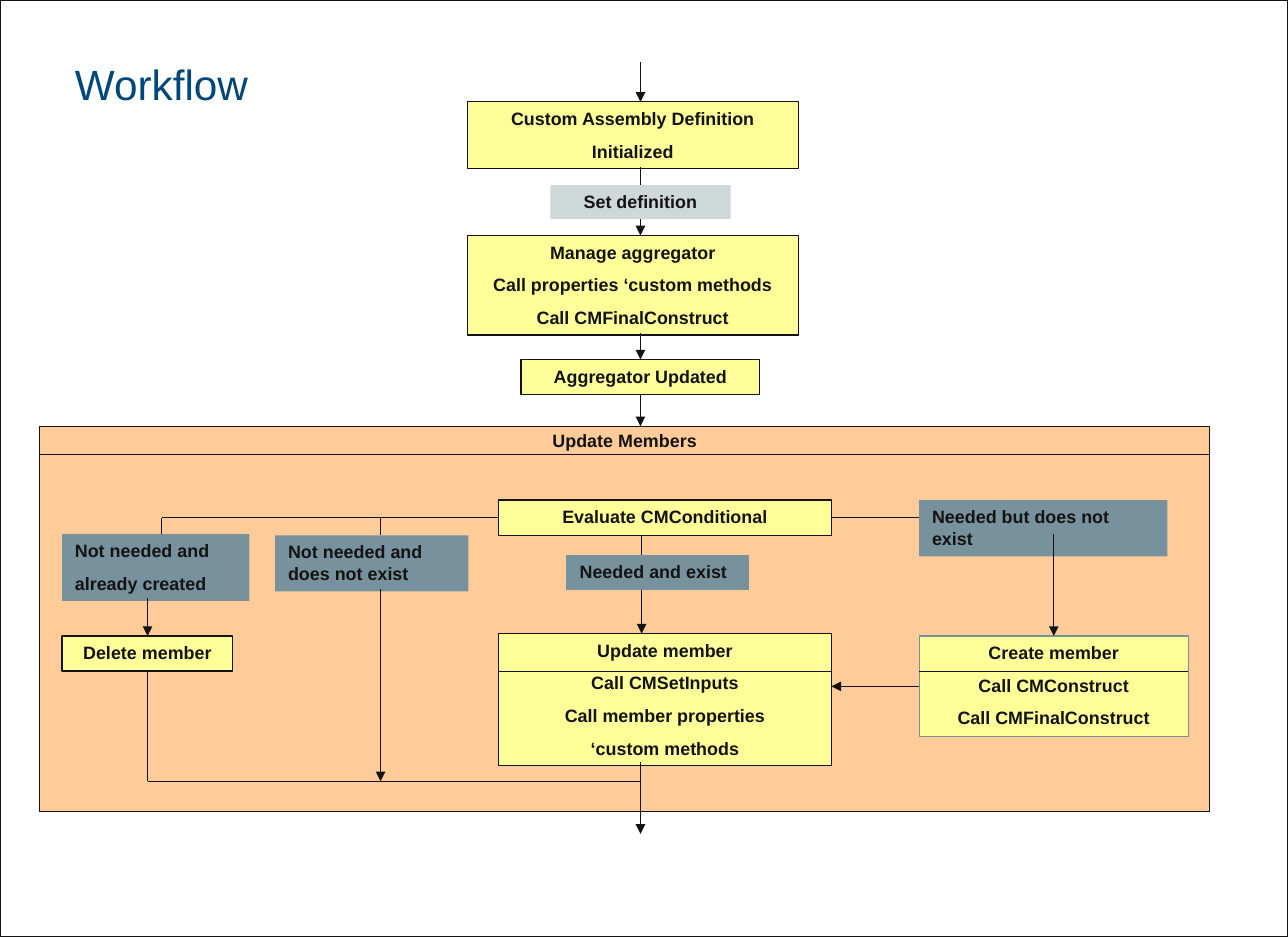
from pptx import Presentation
from pptx.dml.color import RGBColor
from pptx.enum.shapes import MSO_CONNECTOR, MSO_SHAPE
from pptx.enum.text import MSO_ANCHOR, PP_ALIGN
from pptx.oxml.ns import qn
from pptx.util import Inches, Pt
from lxml.etree import SubElement

INK = RGBColor(0x13, 0x13, 0x13)
NAVY = RGBColor(0x00, 0x47, 0x7B)
WHITE = RGBColor(0xFF, 0xFF, 0xFF)
LEMON = RGBColor(0xFF, 0xFF, 0x99)
PEACH = RGBColor(0xFF, 0xCC, 0x99)
MIST = RGBColor(0xCE, 0xD8, 0xD9)
SLATE = RGBColor(0x77, 0x91, 0x9D)

# Grid: 11 columns by 8 rows, one inch each
COLS, ROWS = 11, 8
AXIS = 5.47                    # main flow, downwards
SKIP = 3.25                    # branch where nothing is done
EXIT = 6.67                    # row where the branches merge
FORK = 4.42                    # row where the branches part
TOP, LEFT, BOTTOM, RIGHT = range(4)

# Boxes: name -> (left, top, width, height), fill, line, lines of text
BOXES = {
    "init": ((3.99, 0.87, 2.83, 0.57), LEMON, INK,
             ["Custom Assembly Definition", "Initialized"]),
    "manage": ((3.99, 2.01, 2.83, 0.85), LEMON, INK,
               ["Manage aggregator", "Call properties ‘custom methods",
                "Call CMFinalConstruct"]),
    "done": ((4.45, 3.07, 2.04, 0.3), LEMON, INK, ["Aggregator Updated"]),
    "set": ((4.7, 1.58, 1.54, 0.29), MIST, None, ["Set definition"]),
    "panel": ((0.34, 3.76, 9.99, 3.17), PEACH, INK, []),
    "header": ((0.34, 3.64, 9.99, 0.24), PEACH, INK, ["Update Members"]),
    "test": ((4.26, 4.27, 2.84, 0.3), LEMON, INK, ["Evaluate CMConditional"]),
    "create": ((7.85, 5.43, 2.3, 0.86), LEMON, SLATE,
               ["Create member", "Call CMConstruct", "Call CMFinalConstruct"]),
    "delete": ((0.53, 5.43, 1.46, 0.3), LEMON, INK, ["Delete member"]),
    "update": ((4.26, 5.41, 2.84, 1.13), LEMON, INK,
               ["Update member", "Call CMSetInputs",
                "Call member properties", "‘custom methods"]),
    "drop": ((0.53, 4.56, 1.6, 0.57), SLATE, None,
             ["Not needed and", "already created"]),
    "none": ((2.35, 4.57, 1.65, 0.48), SLATE, None,
             ["Not needed and does not exist"]),
    "new": ((7.85, 4.27, 2.12, 0.48), SLATE, None,
            ["Needed but does not exist"]),
}
# This label lies over the wire below the test
KEEP = ((4.84, 4.74, 1.55, 0.29), SLATE, SLATE, ["Needed and exist"])


def middle(name, side):
    x, y, w, h = BOXES[name][0]
    return [(x + w / 2, y), (x, y + h / 2),
            (x + w / 2, y + h), (x + w, y + h / 2)][side]


DROP = middle("delete", TOP)[0]
MAKE, BACK = middle("create", TOP)[0], middle("create", LEFT)[1]

# Wires: start, end, arrow; an end is a grid point or (box name, side)
WIRES = [
    ((AXIS, 0.53), (AXIS, 0.87), True),
    ((AXIS, 1.43), ("set", TOP), False),
    (("set", BOTTOM), (AXIS, 2.01), True),
    ((AXIS, 2.84), ("done", TOP), True),
    (("done", BOTTOM), (AXIS, 3.64), True),
    ((AXIS, 6.51), (AXIS, 7.12), True),
    (("test", LEFT), (1.38, FORK), False),
    ((1.38, FORK), (1.38, 4.56), False),
    ((SKIP, FORK), (SKIP, 4.57), False),
    (("test", RIGHT), (7.85, FORK), False),
    ((5.48, 4.57), (5.48, 5.41), True),
    ((DROP, 5.11), ("delete", TOP), True),
    ((MAKE, 4.56), ("create", TOP), True),
    (("create", LEFT), (7.1, BACK), True),
    (("delete", BOTTOM), (DROP, EXIT), False),
    ((DROP, EXIT), (AXIS, EXIT), False),
    ((SKIP, 5.03), (SKIP, EXIT), True),
    ((4.26, 5.73), (7.1, 5.73), False),
    ((7.85, 5.73), (10.15, 5.73), False),
]


def write(shape, lines, size=11, color=INK, bold=True, align=PP_ALIGN.CENTER,
          anchor=MSO_ANCHOR.TOP, inset=(0.11, 0.05)):
    frame = shape.text_frame
    frame.word_wrap = True
    frame.vertical_anchor = anchor
    frame.margin_left = frame.margin_right = Inches(inset[0])
    frame.margin_top = frame.margin_bottom = Inches(inset[1])
    frame.text = "\n".join(lines)
    for row, para in enumerate(frame.paragraphs):
        para.alignment = align
        para.space_before = Pt(6.9 if row else 0)
        font = para.font
        font.name, font.size, font.bold = "Arial", Pt(size), bold
        font.color.rgb = color


def draw(place, fill, line):
    box = slide.shapes.add_shape(MSO_SHAPE.RECTANGLE, *map(Inches, place))
    box.shadow.inherit = False
    box.fill.solid()
    box.fill.fore_color.rgb = fill
    if line is None:
        box.line.fill.background()
    else:
        box.line.color.rgb = line
        box.line.width = Pt(0.75)
    return box


def label(place, fill, line, lines):
    box = draw(place, fill, line)
    if lines:
        write(box, lines,
              align=PP_ALIGN.LEFT if fill == SLATE else PP_ALIGN.CENTER,
              anchor=MSO_ANCHOR.MIDDLE if fill == PEACH else MSO_ANCHOR.TOP)
    return box


def wire(start, end, arrow):
    joins = [e if e[0] in BOXES else None for e in (start, end)]
    ends = [middle(*e) if e[0] in BOXES else e for e in (start, end)]
    link = slide.shapes.add_connector(
        MSO_CONNECTOR.STRAIGHT, *(Inches(v) for e in ends for v in e))
    for join, hook in zip(joins, (link.begin_connect, link.end_connect)):
        if join:
            hook(shapes[join[0]], join[1])
    link.line.color.rgb = INK
    link.line.width = Pt(0.75)
    if arrow:
        SubElement(link.line._get_or_add_ln(), qn("a:tailEnd"), type="triangle")
    SubElement(link._element.spPr, qn("a:effectLst"))


# Slide, backdrop and title
deck = Presentation()
deck.slide_width, deck.slide_height = Inches(COLS), Inches(ROWS)
slide = deck.slides.add_slide(deck.slide_layouts[5])
slide.background.fill.solid()
slide.background.fill.fore_color.rgb = MIST
title = slide.shapes.title
sheet = draw((0, 0, COLS, ROWS), WHITE, INK)
title._element.addprevious(sheet._element)
title.left, title.top, title.width, title.height = map(
    Inches, (0.64, 0.14, 6.67, 0.79))
write(title, ["Workflow"], size=26, color=NAVY, bold=False,
      align=PP_ALIGN.LEFT, anchor=MSO_ANCHOR.BOTTOM, inset=(0, 0))

# Flow chart
shapes = {name: label(*box) for name, box in BOXES.items()}
for row in WIRES:
    wire(*row)
label(*KEEP)

deck.save("out.pptx")
